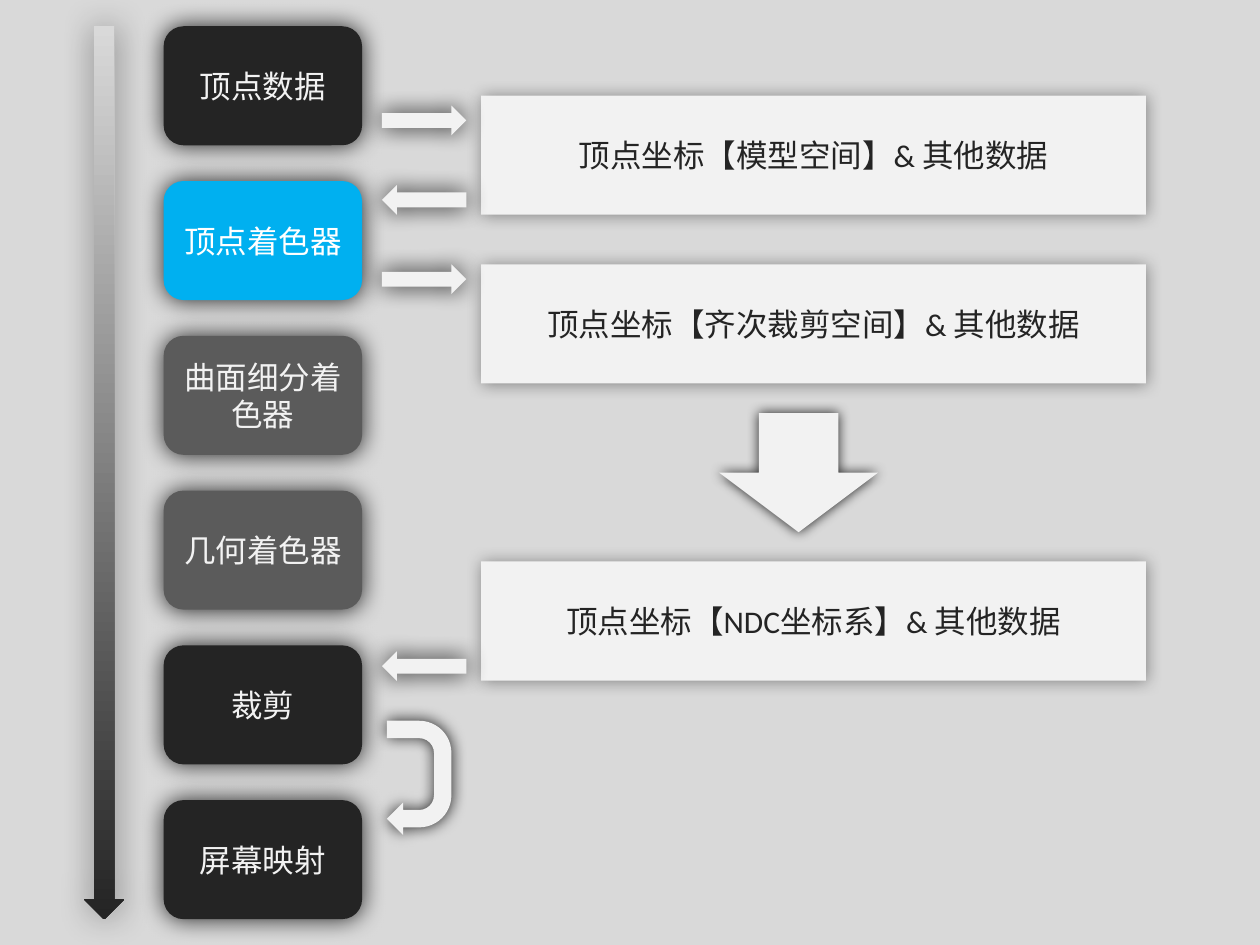
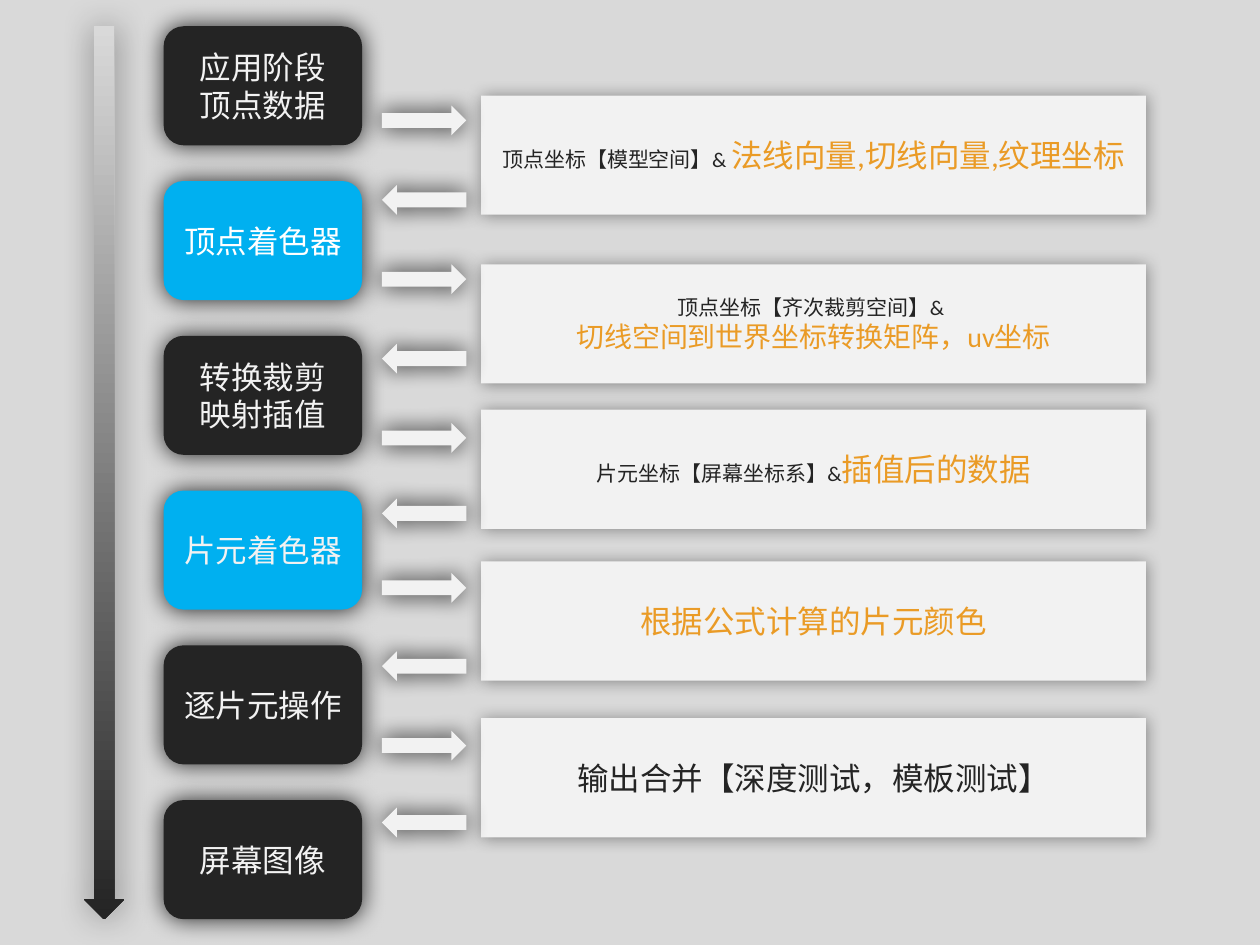
from lxml.etree import SubElement
from pptx import Presentation
from pptx.dml.color import RGBColor
from pptx.enum.shapes import MSO_SHAPE
from pptx.enum.text import MSO_ANCHOR, PP_ALIGN
from pptx.oxml.ns import qn
from pptx.util import Cm, Pt

COLORS = {
    "back": "D9D9D9",
    "dark": "242424",
    "blue": "00B0F0",
    "gray": "5B5B5B",
    "light": "F2F2F2",
    "white": "FFFFFF",
    "orange": "EA9B26",
    "black": "000000",
}
FONT = "Calibri"

# Layout in centimetres
STAGE_LEFT, STAGE_TOP, STAGE_PITCH, STAGE_WIDTH = 3.3, 0.53, 3.12, 4
PANEL_LEFT, PANEL_WIDTH = 9.7, 13.4
BOX_HEIGHT = 2.4
ARROW_LEFT, ARROW_WIDTH, ARROW_HEIGHT = 7.7, 1.7, 0.6


def rgb(name):
    return RGBColor.from_string(COLORS[name])


def add_glow(sp, color, opacity, blur):
    """Give a shape a soft shadow with no offset."""
    sp.shadow.inherit = False
    effects = sp._element.spPr.find(qn("a:effectLst"))
    shadow = SubElement(effects, qn("a:outerShdw"), blurRad=str(Pt(blur)),
                        dist="0", dir="5400000", algn="ctr", rotWithShape="0")
    clr = SubElement(shadow, qn("a:srgbClr"), val=COLORS[color])
    SubElement(clr, qn("a:alpha"), val=str(opacity * 1000))


def add_box(slide, kind, left, top, width, height, fill="light",
            glow=("dark", 100, 14), rotation=0):
    sp = slide.shapes.add_shape(kind, Cm(left), Cm(top), Cm(width), Cm(height))
    sp.fill.solid()
    sp.fill.fore_color.rgb = rgb(fill)
    sp.line.fill.background()
    sp.rotation = rotation
    add_glow(sp, *glow)
    return sp


def add_run(p, text, size=18, color="dark"):
    r = p.add_run()
    r.text = text
    r.font.name = FONT
    r.font.size = Pt(size)
    r.font.color.rgb = rgb(color)


def write(sp, lines, **fmt):
    """Write centred lines; a line is a string or a list of (text, format)."""
    tf = sp.text_frame
    tf.word_wrap = True
    tf.vertical_anchor = MSO_ANCHOR.MIDDLE
    for i, line in enumerate(lines):
        p = tf.add_paragraph() if i else tf.paragraphs[0]
        p.alignment = PP_ALIGN.CENTER
        runs = [(line, {})] if isinstance(line, str) else line
        for text, own in runs:
            add_run(p, text, **{**fmt, **own})


def add_stages(slide, stages):
    for i, (lines, fill, color) in enumerate(stages):
        sp = add_box(slide, MSO_SHAPE.ROUNDED_RECTANGLE, STAGE_LEFT,
                     STAGE_TOP + i * STAGE_PITCH, STAGE_WIDTH, BOX_HEIGHT, fill)
        write(sp, lines, color=color)


def add_timeline(slide):
    sp = add_box(slide, MSO_SHAPE.DOWN_ARROW, 1.7, STAGE_TOP, 0.8, 18,
                 glow=("black", 40, 19))
    sp.fill.gradient()
    sp.fill.gradient_angle = 270
    for stop, position, color in zip(sp.fill.gradient_stops, (0, 1), ("back", "dark")):
        stop.position = position
        stop.color.rgb = rgb(color)


def add_panels(slide, panels):
    for top, lines in panels:
        sp = add_box(slide, MSO_SHAPE.ROUNDED_RECTANGLE, PANEL_LEFT, top,
                     PANEL_WIDTH, BOX_HEIGHT, glow=("black", 40, 9))
        sp.adjustments[0] = 0
        write(sp, lines)


def add_arrows(slide, tops, rotation=0):
    for top in tops:
        add_box(slide, MSO_SHAPE.RIGHT_ARROW, ARROW_LEFT, top, ARROW_WIDTH,
                ARROW_HEIGHT, rotation=rotation)


def add_flow(prs, stages, panels, arrows_out, arrows_back):
    """Build one pipeline slide: timeline, stages, data panels and arrows."""
    slide = prs.slides.add_slide(prs.slide_layouts[6])
    slide.background.fill.solid()
    slide.background.fill.fore_color.rgb = rgb("back")
    add_stages(slide, stages)
    add_timeline(slide)
    add_panels(slide, panels)
    add_arrows(slide, arrows_out)
    add_arrows(slide, arrows_back, rotation=180)
    return slide


def add_vertex_slide(prs):
    stages = [
        (["顶点数据"], "dark", "light"),
        (["顶点着色器"], "blue", "white"),
        (["曲面细分着色器"], "gray", "light"),
        (["几何着色器"], "gray", "light"),
        (["裁剪"], "dark", "light"),
        (["屏幕映射"], "dark", "light"),
    ]
    panels = [
        (1.93, ["顶点坐标【模型空间】& 其他数据"]),
        (5.33, ["顶点坐标【齐次裁剪空间】& 其他数据"]),
        (11.32, ["顶点坐标【NDC坐标系】& 其他数据"]),
    ]
    slide = add_flow(prs, stages, panels, [2.13, 5.33], [3.73, 13.13])

    # Turn from clipping to screen mapping
    sp = add_box(slide, MSO_SHAPE.U_TURN_ARROW, 7.3, 15.03, 2.3, 1.3,
                 glow=("dark", 100, 9), rotation=90)
    for i, value in enumerate((0.27, 0.25, 0.25, 0.5, 1)):
        sp.adjustments[i] = value

    # Step from clip space to NDC
    add_box(slide, MSO_SHAPE.DOWN_ARROW, 14.5, 8.33, 3.2, BOX_HEIGHT,
            glow=("dark", 100, 7))


def add_fragment_slide(prs):
    small = {"size": 12}
    accent = {"color": "orange"}
    stages = [
        (["应用阶段", "顶点数据"], "dark", "light"),
        (["顶点着色器"], "blue", "white"),
        (["转换裁剪", "映射插值"], "dark", "light"),
        (["片元着色器"], "blue", "light"),
        (["逐片元操作"], "dark", "light"),
        (["屏幕图像"], "dark", "light"),
    ]
    panels = [
        (1.93, [[("顶点坐标【模型空间】& ", small),
                 ("法线向量,切线向量,纹理坐标", accent)]]),
        (5.33, [[("顶点坐标【齐次裁剪空间】& ", small)],
                [("切线空间到世界坐标转换矩阵，uv坐标", {"size": 16, **accent})]]),
        (8.26, [[("片元坐标【屏幕坐标系】&", small), ("插值后的数据", accent)]]),
        (11.32, [[("根据公式计算的片元颜色", accent)]]),
        (14.48, ["输出合并【深度测试，模板测试】"]),
    ]
    add_flow(prs, stages, panels,
             arrows_out=[2.13, 5.33, 8.53, 11.55, 14.73],
             arrows_back=[3.73, 6.93, 10.05, 13.13, 16.28])


def main():
    prs = Presentation()
    prs.slide_width, prs.slide_height = Cm(25.4), Cm(19.05)
    add_vertex_slide(prs)
    add_fragment_slide(prs)
    prs.save("out.pptx")


if __name__ == "__main__":
    main()
